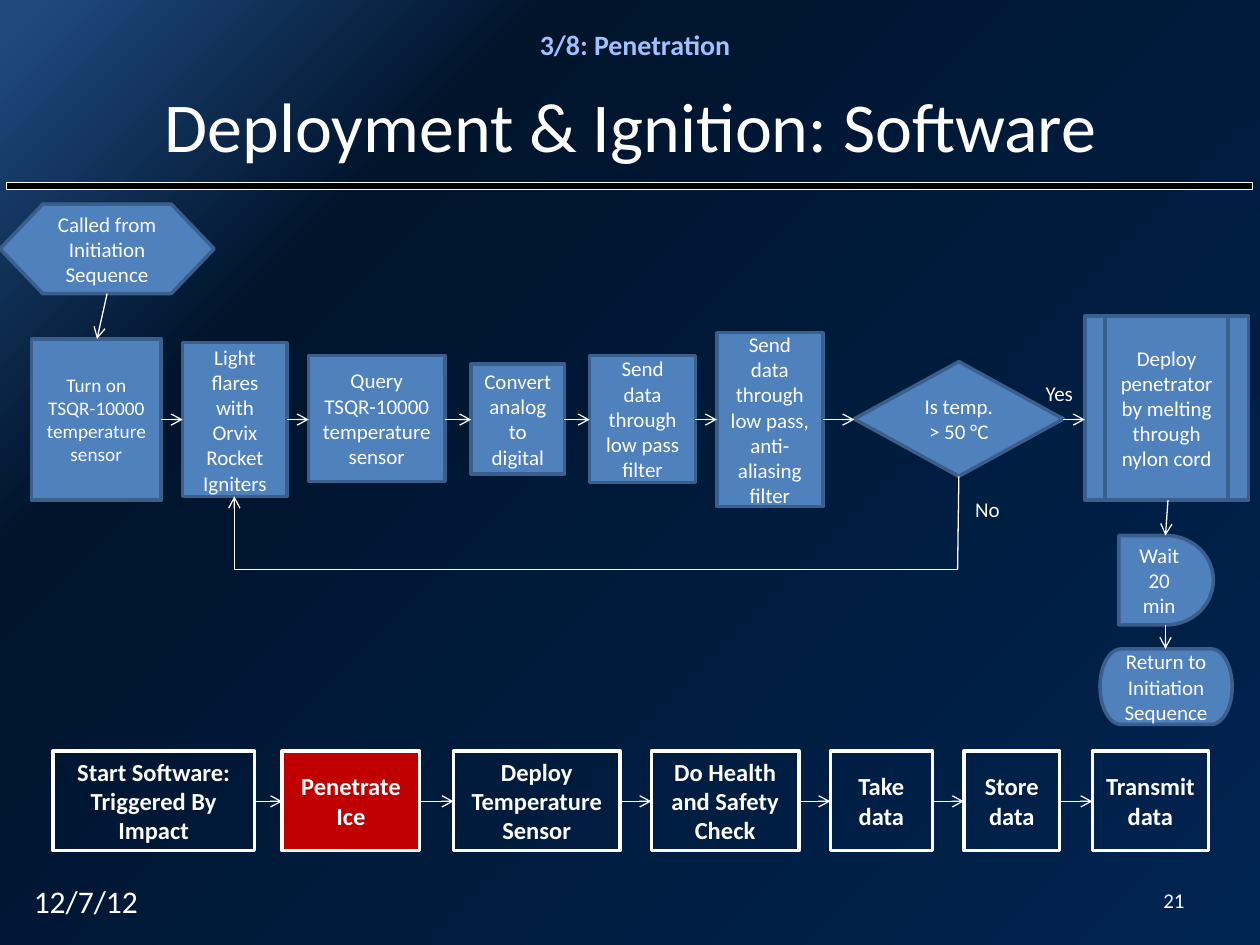
import copy
import itertools

import pptx
import pptx.dml.color
import pptx.enum.shapes
import pptx.enum.text
import pptx.oxml
import pptx.oxml.ns
import pptx.util

Inches = pptx.util.Inches
SHAPE = pptx.enum.shapes.MSO_SHAPE
ALIGN = pptx.enum.text.PP_ALIGN
ANCHOR = pptx.enum.text.MSO_ANCHOR
COLORS = {name: pptx.dml.color.RGBColor.from_string(value) for name, value in {
    "white": "FFFFFF", "black": "000000", "step": "4F81BD", "edge": "3A5F8C",
    "active": "C00000", "section": "A0C1FF",
    "glow": "1F497D", "night": "00142C", "navy": "002451",
}.items()}


def write(box, text, size=12, color="white", bold=False,
          align=ALIGN.CENTER, anchor=ANCHOR.MIDDLE):
    frame = box.text_frame
    frame.word_wrap = True
    frame.auto_size = pptx.enum.text.MSO_AUTO_SIZE.NONE
    frame.vertical_anchor = anchor
    para = frame.paragraphs[0]
    para.alignment = align
    span = para.add_run()
    span.text = text
    span.font.name = "Calibri"
    span.font.size = pptx.util.Pt(size)
    span.font.bold = bold
    span.font.color.rgb = COLORS[color]


def connect(x1, y1, x2, y2, arrow=True):
    line = page.shapes.add_connector(
        pptx.enum.shapes.MSO_CONNECTOR.STRAIGHT,
        Inches(x1), Inches(y1), Inches(x2), Inches(y2))
    line.line.color.rgb = COLORS["white"]
    line.line.width = pptx.util.Pt(0.75)
    if arrow:
        tip = pptx.oxml.parse_xml(
            f'<a:tailEnd {pptx.oxml.ns.nsdecls("a")} type="arrow"/>')
        line.line._get_or_add_ln().append(tip)
    line._element.spPr.append(
        pptx.oxml.parse_xml(f'<a:effectLst {pptx.oxml.ns.nsdecls("a")}/>'))


deck = pptx.Presentation()
deck.slide_width, deck.slide_height = Inches(10), Inches(7.5)
page = deck.slides.add_slide(deck.slide_layouts[5])

backdrop = page.background.fill
backdrop.gradient()
backdrop.gradient_angle = 315
stop_list = page.background._cSld.find(".//" + pptx.oxml.ns.qn("a:gsLst"))
stop_list.insert(1, copy.deepcopy(stop_list[0]))
for stop, (position, color) in zip(
        backdrop.gradient_stops, [(0.02, "glow"), (0.25, "night"), (1, "navy")]):
    stop.position = position
    stop.color.rgb = COLORS[color]

title = page.shapes.title
title.left, title.top = Inches(0.88), Inches(0.55)
title.width, title.height = Inches(8.25), Inches(0.88)
write(title, "Deployment & Ignition: Software", size=40)

rule = page.shapes.add_shape(
    SHAPE.RECTANGLE, Inches(0.05), Inches(1.45), Inches(9.89), Inches(0.05))
rule.shadow.inherit = False
rule.fill.solid()
rule.fill.fore_color.rgb = COLORS["black"]
rule.line.color.rgb = COLORS["white"]
rule.line.width = pptx.util.Pt(0.25)

labels = [
    ("3/8: Penetration", 3.25, 0.17, 3.58, 0.37,
     dict(size=16, color="section", bold=True, anchor=ANCHOR.TOP)),
    ("21", 9.08, 6.95, 0.42, 0.38, dict(align=ALIGN.RIGHT)),
    ("12/7/12", 0.17, 6.95, 2.33, 0.4,
     dict(size=18, align=ALIGN.LEFT, anchor=ANCHOR.TOP)),
    ("No", 7.64, 3.89, 0.72, 0.3, dict(align=ALIGN.LEFT, anchor=ANCHOR.TOP)),
    ("Yes", 8.2, 2.97, 0.72, 0.3, dict(align=ALIGN.LEFT, anchor=ANCHOR.TOP)),
]
for text, left, top, width, height, style in labels:
    box = page.shapes.add_textbox(
        Inches(left), Inches(top), Inches(width), Inches(height))
    write(box, text, **style)

sequence = [
    ("Turn on TSQR-10000 temperature sensor",
     SHAPE.FLOWCHART_PROCESS, 0.25, 2.69, 1.03, 1.28, 11),
    ("Light flares with Orvix Rocket Igniters",
     SHAPE.FLOWCHART_PROCESS, 1.45, 2.72, 0.83, 1.22, 12),
    ("Query TSQR-10000 temperature sensor",
     SHAPE.FLOWCHART_PROCESS, 2.45, 2.82, 1.08, 1, 12),
    ("Convert analog to digital",
     SHAPE.FLOWCHART_PROCESS, 3.74, 2.89, 0.74, 0.87, 12),
    ("Send data through low pass filter",
     SHAPE.FLOWCHART_PROCESS, 4.68, 2.82, 0.84, 1.01, 12),
    ("Send data through low pass, anti-aliasing filter",
     SHAPE.FLOWCHART_PROCESS, 5.69, 2.64, 0.84, 1.38, 12),
    ("Is temp. > 50 °C",
     SHAPE.FLOWCHART_DECISION, 6.78, 2.87, 1.66, 0.91, 12),
    ("Deploy penetrator by melting through nylon cord",
     SHAPE.FLOWCHART_PREDEFINED_PROCESS, 8.61, 2.51, 1.3, 1.46, 12),
]
terminals = [
    ("Called from Initiation Sequence",
     SHAPE.FLOWCHART_PREPARATION, 0, 1.62, 1.7, 0.71, 12),
    ("Wait 20 min", SHAPE.FLOWCHART_DELAY, 8.88, 4.25, 0.75, 0.71, 12),
    ("Return to Initiation Sequence",
     SHAPE.FLOWCHART_TERMINATOR, 8.73, 5.15, 1.05, 0.6, 12),
]
for text, kind, left, top, width, height, size in sequence + terminals:
    box = page.shapes.add_shape(
        kind, Inches(left), Inches(top), Inches(width), Inches(height))
    box.shadow.inherit = False
    box.fill.solid()
    box.fill.fore_color.rgb = COLORS["step"]
    box.line.color.rgb = COLORS["edge"]
    box.line.width = pptx.util.Pt(2)
    write(box, text, size=size)

for before, after in itertools.pairwise(sequence):
    connect(before[2] + before[4], 3.33, after[2], 3.33)
connect(0.85, 2.33, 0.77, 2.69)
connect(9.27, 3.97, 9.25, 4.25)
connect(9.25, 4.96, 9.25, 5.15)
connect(7.61, 3.78, 7.6, 4.52, arrow=False)
connect(7.6, 4.52, 1.86, 4.52, arrow=False)
connect(1.86, 4.52, 1.86, 3.94)

phases = [
    ("Start Software: Triggered By Impact", 0.42, 1.6),
    ("Penetrate Ice", 2.24, 1.09),
    ("Deploy Temperature Sensor", 3.6, 1.32),
    ("Do Health and Safety Check", 5.17, 1.17),
    ("Take data", 6.59, 0.81),
    ("Store data", 7.65, 0.76),
    ("Transmit data", 8.67, 0.92),
]
for text, left, width in phases:
    box = page.shapes.add_shape(
        SHAPE.FLOWCHART_PROCESS,
        Inches(left), Inches(5.96), Inches(width), Inches(0.79))
    box.shadow.inherit = False
    if text == "Penetrate Ice":
        box.fill.solid()
        box.fill.fore_color.rgb = COLORS["active"]
    else:
        box.fill.background()
    box.line.color.rgb = COLORS["white"]
    box.line.width = pptx.util.Pt(2)
    write(box, text, size=14, bold=True)
for before, after in itertools.pairwise(phases):
    connect(before[1] + before[2], 6.36, after[1], 6.36)

deck.save("out.pptx")
